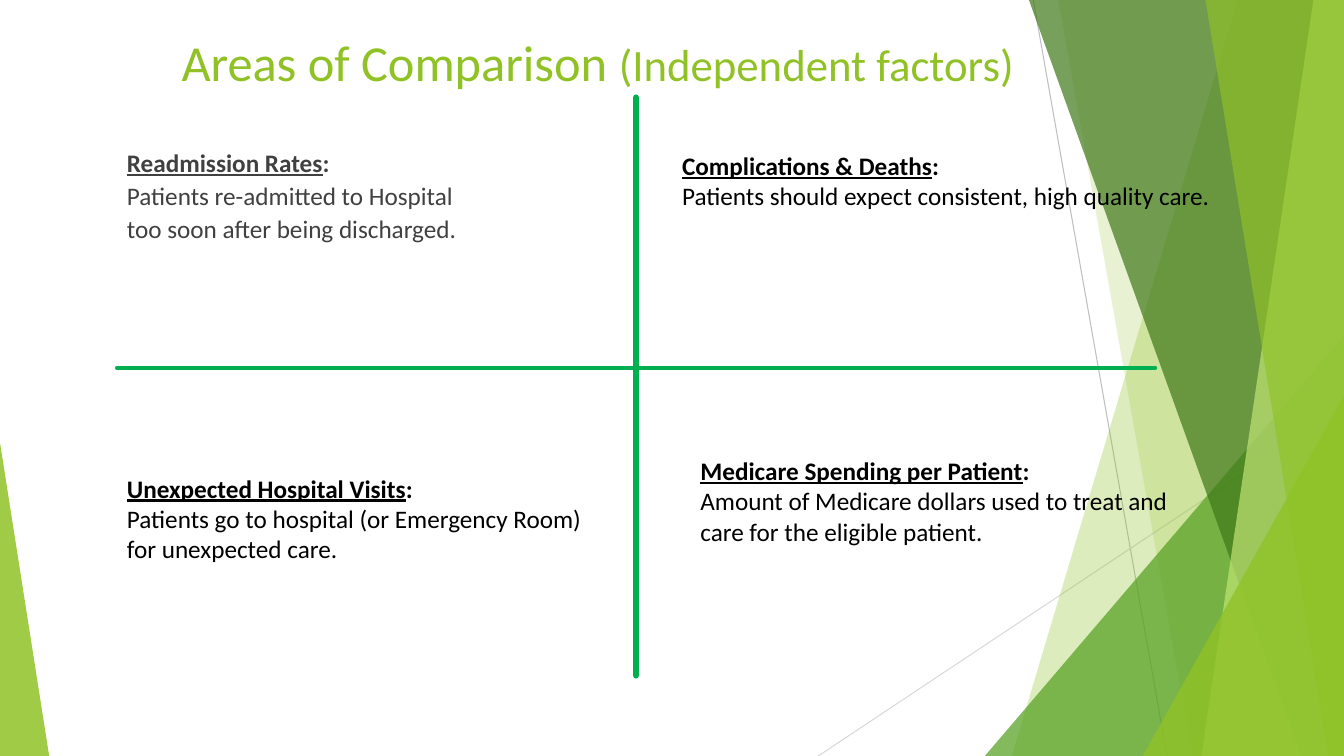
"""Build the slide that compares four independent factors in a quadrant layout."""
from dataclasses import dataclass

from lxml import etree
from pptx import Presentation
from pptx.dml.color import RGBColor
from pptx.enum.shapes import MSO_CONNECTOR, MSO_SHAPE
from pptx.enum.text import MSO_ANCHOR, MSO_AUTO_SIZE, PP_ALIGN
from pptx.oxml.ns import qn
from pptx.util import Cm, Pt

STRAIGHT = MSO_CONNECTOR.STRAIGHT
TRIANGLE = MSO_SHAPE.ISOSCELES_TRIANGLE
TOP, MIDDLE = MSO_ANCHOR.TOP, MSO_ANCHOR.MIDDLE
FIXED_SIZE = MSO_AUTO_SIZE.NONE
LEFT = PP_ALIGN.LEFT
WIDTH, HEIGHT = 33.87, 19.05


@dataclass(frozen=True)
class Theme:
    font: str = "Calibri"
    title_size: float = 36
    subtitle_size: float = 32
    body_size: float = 18
    lime: str = "90C226"
    pale_lime: str = "C0E474"
    green: str = "54A021"
    dark_green: str = "3F7819"
    axis: str = "00B050"
    ray: str = "BFBFBF"
    pale_ray: str = "D9D9D9"
    grey_text: str = "404040"
    text: str = "000000"


@dataclass(frozen=True)
class Band:
    """A facet that reaches the right edge, with a slanted left side."""
    top_x: float
    bottom_x: float
    color: str
    opacity: int


@dataclass(frozen=True)
class Wedge:
    """A triangle standing on the bottom edge, its apex over one corner."""
    left: float
    top: float
    width: float
    apex: float
    color: str
    opacity: int


@dataclass(frozen=True)
class Stroke:
    start: tuple[float, float]
    end: tuple[float, float]
    color: str
    weight: float
    cap: str = "flat"


@dataclass(frozen=True)
class Factor:
    heading: str
    detail: str
    left: float
    top: float
    width: float
    height: float
    color: str
    spacing: float = 1.0


THEME = Theme()

RAYS = [
    Stroke((26.04, 0), (29.41, HEIGHT), THEME.ray, 0.75),
    Stroke((WIDTH, 10.24), (20.62, HEIGHT), THEME.pale_ray, 0.75),
]
FACETS = [
    Band(31.19, 25.5, THEME.lime, 30),
    Band(26.67, 30.05, THEME.lime, 20),
    Wedge(24.82, 8.46, 9.05, 1, THEME.green, 72),
    Band(25.93, 32.79, THEME.dark_green, 70),
    Band(33.1, 30.28, THEME.pale_lime, 70),
    Band(30.38, 33.48, THEME.lime, 65),
    Wedge(28.8, 9.98, 5.07, 1, THEME.lime, 80),
    Wedge(0, 11.15, 1.24, 0, THEME.lime, 85),
]
FACTORS = [
    Factor("Readmission Rates",
           "Patients re-admitted to Hospital too soon after being discharged.",
           2.95, 3.58, 9.4, 2.77, THEME.grey_text, 1.1),
    Factor("Complications & Deaths",
           "Patients should expect consistent, high quality care.",
           16.94, 3.66, 14.5, 1.8, THEME.text),
    Factor("Unexpected Hospital Visits",
           "Patients go to hospital (or Emergency Room) for unexpected care.",
           2.95, 11.79, 12.4, 2.57, THEME.text),
    Factor("Medicare Spending per Patient",
           "Amount of Medicare dollars used to treat and care for the eligible patient.",
           17.4, 11.35, 12.9, 2.57, THEME.text),
]
AXES = [
    Stroke((2.95, 9.27), (29.11, 9.27), THEME.axis, 3, "rnd"),
    Stroke((16.03, 2.46), (16.03, 17.02), THEME.axis, 4.5, "rnd"),
]


def write(paragraph, text: str, *, size: float, color: str,
          bold: bool = False, underline: bool = False) -> None:
    run = paragraph.add_run()
    run.text = text
    font = run.font
    font.name, font.size = THEME.font, Pt(size)
    font.bold, font.underline = bold, underline
    font.color.rgb = RGBColor.from_string(color)


def draw_stroke(shapes, stroke: Stroke) -> None:
    ends = [Cm(value) for value in (*stroke.start, *stroke.end)]
    connector = shapes.add_connector(STRAIGHT, *ends)
    connector.line.width = Pt(stroke.weight)
    connector.line.color.rgb = RGBColor.from_string(stroke.color)
    properties = connector._element.spPr
    properties.find(qn("a:ln")).set("cap", stroke.cap)
    etree.SubElement(properties, qn("a:effectLst"))


def draw_facet(shapes, facet: Band | Wedge) -> None:
    if isinstance(facet, Band):
        builder = shapes.build_freeform(Cm(facet.top_x), Cm(0))
        corners = [(WIDTH, 0), (WIDTH, HEIGHT), (facet.bottom_x, HEIGHT)]
        builder.add_line_segments([(Cm(x), Cm(y)) for x, y in corners])
        surface = builder.convert_to_shape()
    else:
        surface = shapes.add_shape(TRIANGLE, Cm(facet.left), Cm(facet.top),
                                   Cm(facet.width), Cm(HEIGHT - facet.top))
        surface.adjustments[0] = facet.apex
    surface.shadow.inherit = False
    surface.line.fill.background()
    surface.fill.solid()
    surface.fill.fore_color.rgb = RGBColor.from_string(facet.color)
    tint = surface._element.spPr.find(qn("a:solidFill"))[0]
    etree.SubElement(tint, qn("a:alpha"), val=str(facet.opacity * 1000))


def draw_title(slide) -> None:
    title = slide.shapes.title
    title.left, title.top = Cm(4.32), Cm(0.64)
    title.width, title.height = Cm(23.88), Cm(1.8)
    frame = title.text_frame
    frame.auto_size, frame.vertical_anchor = FIXED_SIZE, MIDDLE
    heading = frame.paragraphs[0]
    heading.alignment = LEFT
    write(heading, "Areas of Comparison ", size=THEME.title_size, color=THEME.lime)
    write(heading, "(Independent factors)", size=THEME.subtitle_size, color=THEME.lime)
    title._element.getparent().append(title._element)


def draw_factor(shapes, factor: Factor) -> None:
    frame = shapes.add_textbox(Cm(factor.left), Cm(factor.top),
                               Cm(factor.width), Cm(factor.height)).text_frame
    frame.word_wrap, frame.vertical_anchor = True, TOP
    heading, detail = frame.paragraphs[0], frame.add_paragraph()
    detail.line_spacing = factor.spacing
    look = {"size": THEME.body_size, "color": factor.color}
    write(heading, factor.heading, bold=True, underline=True, **look)
    write(heading, ":", bold=True, **look)
    write(detail, factor.detail, **look)


def main() -> None:
    deck = Presentation()
    deck.slide_width, deck.slide_height = Cm(WIDTH), Cm(HEIGHT)
    slide = deck.slides.add_slide(deck.slide_layouts.get_by_name("Title Only"))
    for ray in RAYS:
        draw_stroke(slide.shapes, ray)
    for facet in FACETS:
        draw_facet(slide.shapes, facet)
    draw_title(slide)
    for factor in FACTORS:
        draw_factor(slide.shapes, factor)
    for axis in AXES:
        draw_stroke(slide.shapes, axis)
    deck.save("out.pptx")


main()
